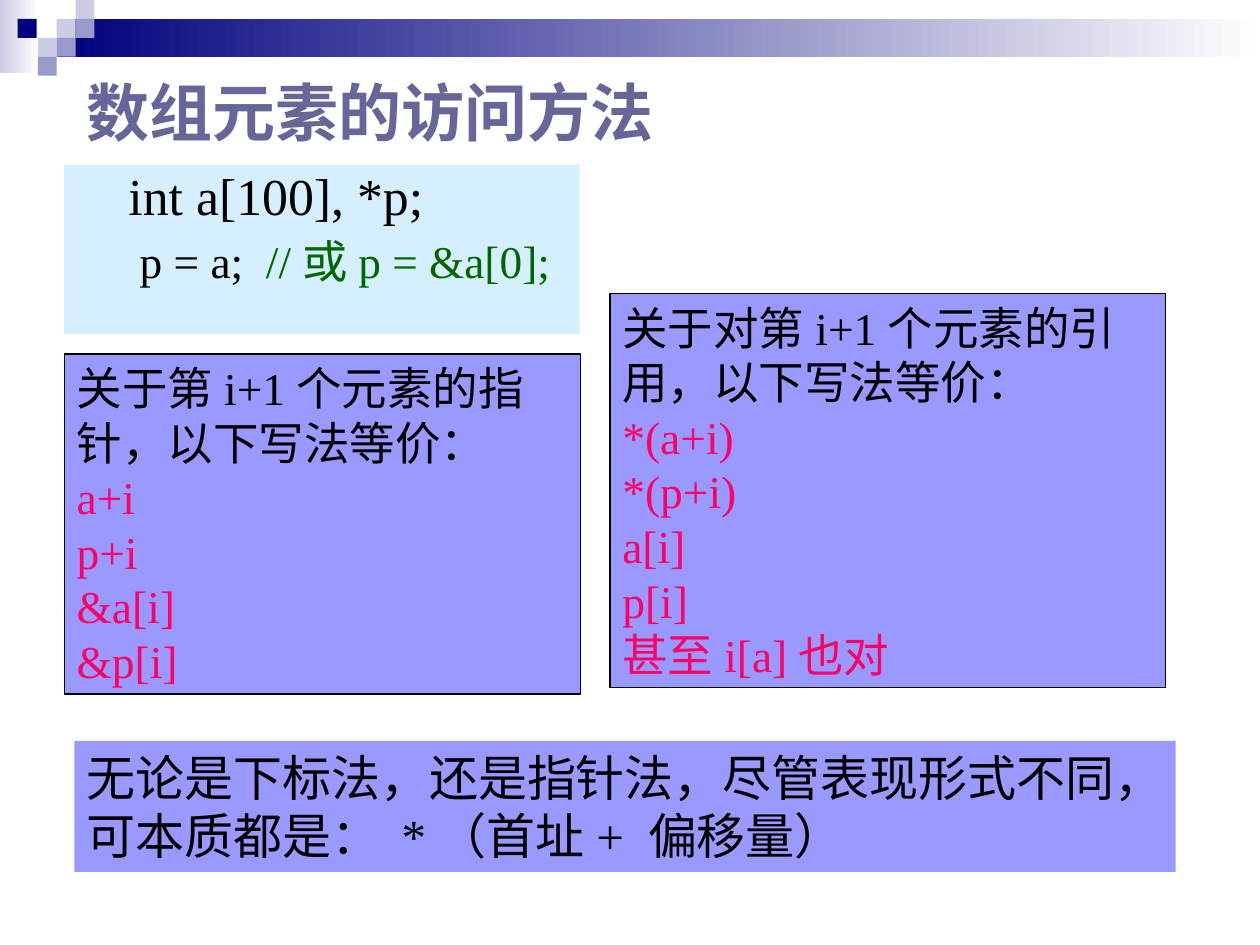
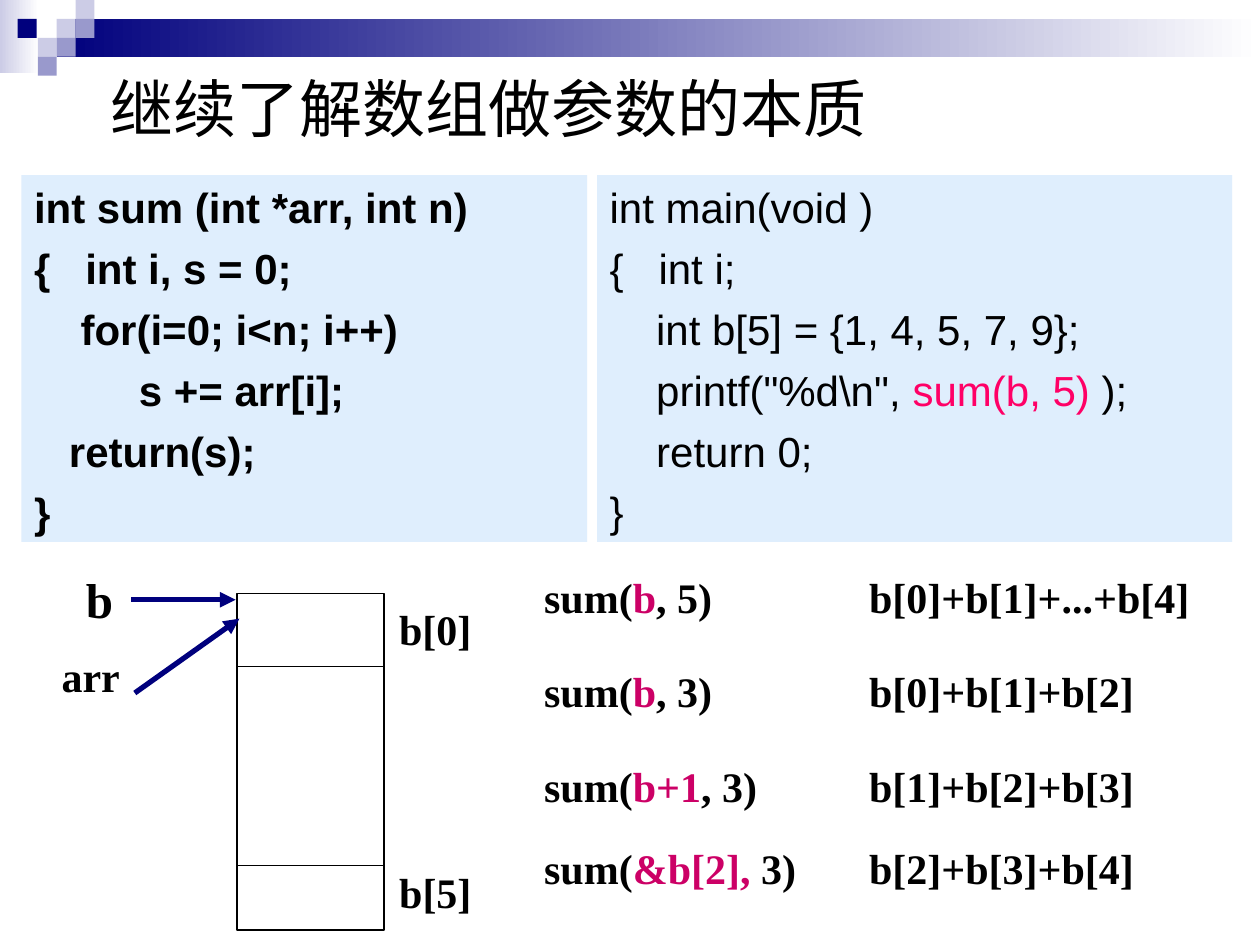
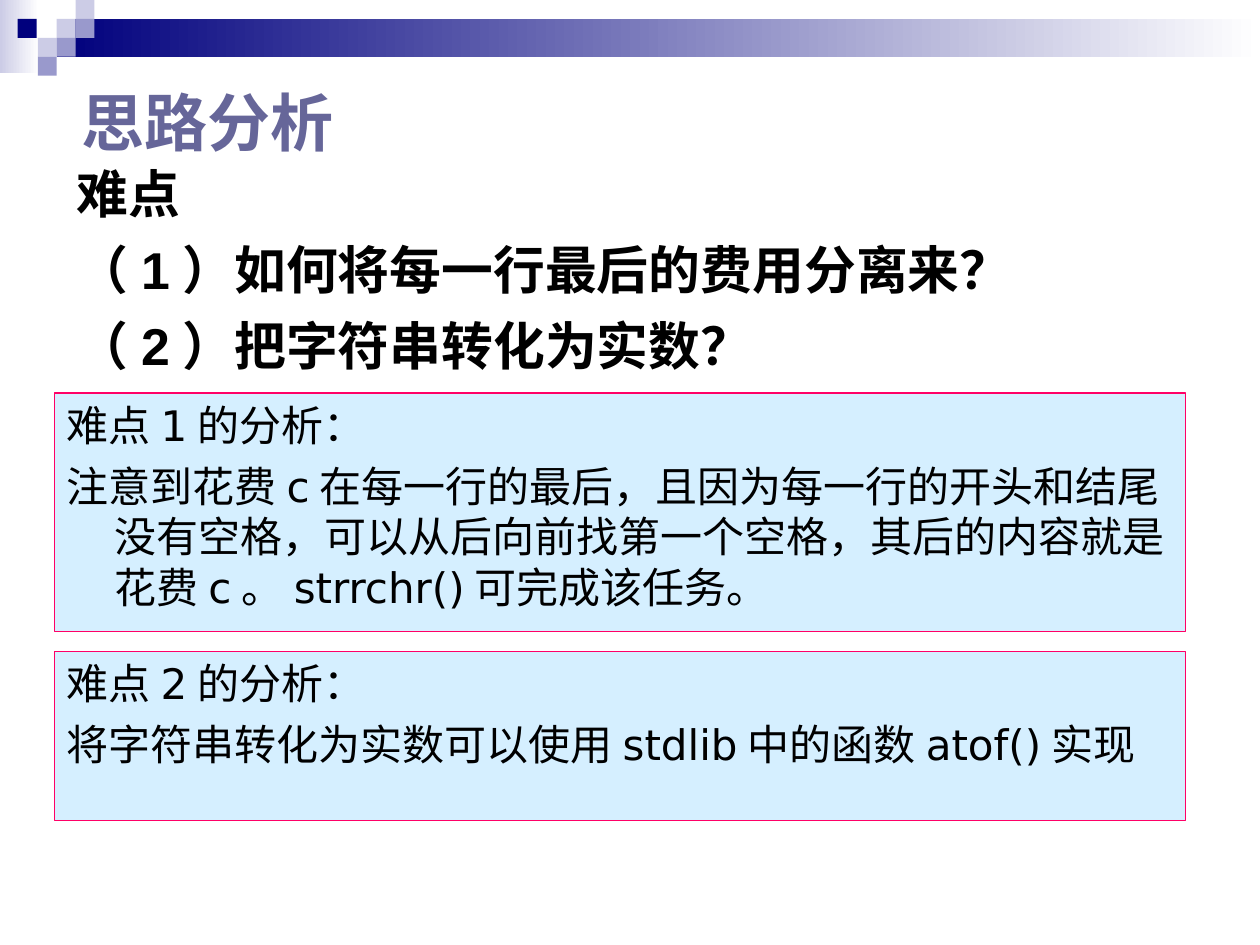
import pptx
import pptx.dml.color
import pptx.enum.shapes
import pptx.enum.text
import pptx.oxml
import pptx.oxml.ns
import pptx.util
from lxml import etree

Inches = pptx.util.Inches
Pt = pptx.util.Pt
qn = pptx.oxml.ns.qn
ALIGN = pptx.enum.text.PP_ALIGN
ANCHOR = pptx.enum.text.MSO_ANCHOR

COLORS = {
    "navy": "00007D", "mist": "CCCCE6", "lavender": "9999CC", "white": "FFFFFF",
    "heading": "666699", "text": "000000", "comment": "006600", "pink": "FF0066",
    "argument": "CC0066", "periwinkle": "9999FF", "sky": "D5EFFF", "code": "DFEEFD",
}

HANGING = (0.38, -0.38)
SERIF, SANS = "Times New Roman", "Arial"


def style(size, name, bold=False, color="text", indent=(0, 0), tab=None, before=0, **paragraph):
    return {"font": {"size": Pt(size), "name": name, "bold": bold}, "color": color,
            "indent": indent, "tab": tab,
            "paragraph": {"alignment": ALIGN.LEFT, "line_spacing": 1.0,
                          "space_before": Pt(before), "space_after": Pt(0), **paragraph}}


STYLES = {
    "title": style(36, SANS, True, "heading"),
    "plain title": style(36, SANS),
    "declaration": style(29.6, SERIF, indent=HANGING, line_spacing=0.9),
    "assignment": style(25.9, SERIF, indent=(0.81, -0.31), before=7, line_spacing=0.9, level=1),
    "forms": style(26, SERIF),
    "summary": style(28, SERIF, tab=3.46),
    "function": style(24, SANS, True, indent=HANGING, before=6),
    "program": style(24, SANS, indent=HANGING, before=6),
    "pointer": style(28, SERIF, True, alignment=ALIGN.CENTER),
    "cell": style(24, SERIF, True, alignment=ALIGN.CENTER),
    "call": style(24, SERIF, True, line_spacing=0.9),
    "difficulty": style(29.6, SANS, True, indent=HANGING, before=8),
    "analysis": style(24, "DejaVu Sans", indent=HANGING, before=6),
}


def rgb(color):
    return pptx.dml.color.RGBColor.from_string(COLORS[color])


def apply(target, values):
    for attribute, value in values.items():
        setattr(target, attribute, value)


# Text: a line is a string or a list of (text, color) runs
def lines(style_name, *texts, color=None):
    color = color or STYLES[style_name]["color"]
    return [(style_name, [(text, color)] if isinstance(text, str) else text) for text in texts]


def write(frame, content, anchor=ANCHOR.TOP, wrap=True):
    apply(frame, {"word_wrap": wrap, "vertical_anchor": anchor,
                  "auto_size": pptx.enum.text.MSO_AUTO_SIZE.NONE,
                  "margin_left": Inches(0.1), "margin_right": Inches(0.1),
                  "margin_top": Inches(0.05), "margin_bottom": Inches(0.05)})
    for index, (style_name, runs) in enumerate(content):
        look = STYLES[style_name]
        paragraph = frame.add_paragraph() if index else frame.paragraphs[0]
        properties = paragraph._p.get_or_add_pPr()
        for key, length in zip(("marL", "indent"), look["indent"]):
            properties.set(key, str(Inches(length)))
        etree.SubElement(properties, qn("a:buNone"))
        if look["tab"]:
            stops = etree.SubElement(properties, qn("a:tabLst"))
            etree.SubElement(stops, qn("a:tab"), pos=str(Inches(look["tab"])), algn="l")
        apply(paragraph, look["paragraph"])
        if index == 0:
            paragraph.space_before = Pt(0)
        for text, color in runs:
            run = paragraph.add_run()
            run.text = text
            apply(run.font, look["font"])
            run.font.color.rgb = rgb(color)


# Kinds of element
def place(shape, box):
    apply(shape, dict(zip(("left", "top", "width", "height"), map(Inches, box))))


def add_panel(slide, box, fill=None, outline=None, width=0.75, content=()):
    panel = slide.shapes.add_shape(pptx.enum.shapes.MSO_SHAPE.RECTANGLE, *map(Inches, box))
    panel.shadow.inherit = False
    if fill:
        panel.fill.solid()
        panel.fill.fore_color.rgb = rgb(fill)
    else:
        panel.fill.background()
    if outline:
        panel.line.color.rgb = rgb(outline)
        panel.line.width = Pt(width)
    else:
        panel.line.fill.background()
    if content:
        write(panel.text_frame, content)
    return panel


def add_fade(slide, box, start):
    fade = add_panel(slide, box, start)
    fade.fill.gradient()
    fade.fill.gradient_angle = 0
    for stop, color in zip(fade.fill.gradient_stops, (start, "white")):
        stop.color.rgb = rgb(color)
    return fade


def add_label(slide, box, content, anchor=ANCHOR.MIDDLE):
    label = slide.shapes.add_textbox(*map(Inches, box))
    write(label.text_frame, content, anchor, wrap=False)


def add_line(slide, start, end, color="text", width=1, arrow=False):
    line = slide.shapes.add_connector(pptx.enum.shapes.MSO_CONNECTOR.STRAIGHT,
                                      *map(Inches, start + end))
    line.line.color.rgb = rgb(color)
    line.line.width = Pt(width)
    properties = line.element.spPr
    if arrow:
        etree.SubElement(properties.find(qn("a:ln")), qn("a:tailEnd"), type="triangle")
    etree.SubElement(properties, qn("a:effectLst"))


def add_slide(deck, layout, title, box, title_style="title"):
    slide = deck.slides.add_slide(deck.slide_layouts.get_by_name(layout))
    place(slide.shapes.title, box)
    write(slide.shapes.title.text_frame, lines(title_style, title), ANCHOR.MIDDLE)
    return slide


def fill_body(slide, box, content, fill=None):
    body = slide.placeholders[1]
    place(body, box)
    if fill:
        body.fill.solid()
        body.fill.fore_color.rgb = rgb(fill)
    write(body.text_frame, content)


# Header band, shared by all slides through the master
def move_band_to_master(deck, slide):
    side = 0.15
    squares = [(0.45, 0.15, "mist"), (0.6, 0, "mist"), (0.6, 0.15, "lavender"),
               (0.3, 0.3, "mist"), (0.14, 0.15, "navy"), (0.45, 0.3, "lavender"),
               (0.3, 0.45, "lavender")]
    band = [add_fade(slide, (0, 0, 0.31, 0.58), "mist"),
            add_fade(slide, (0.45, 0.15, 9.55, 0.3), "navy")]
    band += [add_panel(slide, (x, y, side, side), color) for x, y, color in squares]
    tree = deck.slide_master.shapes.element
    for index, part in enumerate(band):
        part.element.nvSpPr.cNvPr.set("id", str(100 + index))
        tree.insert(2 + index, part.element)


# Slide 1: ways to reach an array element
def access_slide(deck):
    slide = add_slide(deck, "Title Only", "数组元素的访问方法", (0.59, 0.13, 9, 1.5))
    add_panel(slide, (0.51, 1.31, 4.09, 1.34), "sky", content=(
        lines("declaration", "    int a[100], *p;")
        + lines("assignment", [("p = a;  ", "text"), ("//或p = &a[0];", "comment")])))
    equivalents = [
        ((0.51, 2.81, 4.1, 2.7), "关于第i+1个元素的指针，以下写法等价：",
         ("a+i", "p+i", "&a[i]", "&p[i]")),
        ((4.84, 2.33, 4.41, 3.13), "关于对第i+1个元素的引用，以下写法等价：",
         ("*(a+i)", "*(p+i)", "a[i]", "p[i]", "甚至i[a]也对")),
    ]
    for box, heading, forms in equivalents:
        add_panel(slide, box, "periwinkle", "text",
                  content=lines("forms", heading) + lines("forms", *forms, color="pink"))
    add_panel(slide, (0.59, 5.88, 8.74, 1.04), "periwinkle", content=lines(
        "summary", "无论是下标法，还是指针法，尽管表现形式不同，可本质都是：\t*（首址+ 偏移量）"))
    return slide


# Slide 2: arrays as parameters
def parameter_slide(deck):
    slide = add_slide(deck, "Title and Content", "继续了解数组做参数的本质",
                      (0.78, 0.51, 9, 0.69), "plain title")
    fill_body(slide, (0.17, 1.39, 4.49, 2.91), lines(
        "function", "int sum (int *arr, int n)", "{   int i, s = 0;",
        "    for(i=0; i<n; i++)", "         s += arr[i];", "   return(s);", "}"), "code")
    add_panel(slide, (4.74, 1.39, 5.04, 2.91), "code", content=lines(
        "program", "int main(void )", "{   int i;", "    int b[5] = {1, 4, 5, 7, 9};",
        [('    printf("%d\\n", ', "text"), ("sum(b, 5)", "pink"), (" );", "text")],
        "    return 0;", "}"))

    # Array in memory with its two pointers
    left, width = 1.88, 1.17
    add_panel(slide, (left, 4.71, width, 2.67), outline="text", width=1)
    for y in (5.29, 6.87):
        add_line(slide, (left, y), (left + width, y))
    add_label(slide, (0.58, 4.43, 0.42, 0.64), lines("pointer", "b"))
    add_label(slide, (0.39, 5.11, 0.66, 0.5), lines("cell", "arr"))
    add_label(slide, (3.07, 4.74, 0.77, 0.5), lines("cell", "b[0]"))
    add_label(slide, (3.06, 6.79, 0.79, 0.57), lines("cell", "b[5]"))
    for start, end in (((1.04, 4.76), (1.87, 4.76)), ((1.07, 5.5), (1.9, 4.91))):
        add_line(slide, start, end, "navy", 3, arrow=True)

    # Calls and the sums they return
    calls = [(4.53, "b", ", 5)", "b[0]+b[1]+...+b[4]"),
             (5.28, "b", ", 3)", "b[0]+b[1]+b[2]"),
             (6.03, "b+1", ", 3)", "b[1]+b[2]+b[3]"),
             (6.68, "&b[2],", " 3)", "b[2]+b[3]+b[4]")]
    for y, argument, ending, total in calls:
        call = [("sum(", "text"), (argument, "argument"), (ending, "text")]
        add_label(slide, (4.22, y, 2.2, 0.46), lines("call", call), ANCHOR.TOP)
        add_label(slide, (6.8, y, 2.74, 0.46), lines("call", total), ANCHOR.TOP)


# Slide 3: difficulties and their analysis
def analysis_slide(deck):
    slide = add_slide(deck, "Title and Content", "思路分析", (0.55, 0.21, 9, 1.5))
    fill_body(slide, (0.51, 1.23, 9, 1.86), lines(
        "difficulty", "难点", "（1）如何将每一行最后的费用分离来？", "（2）把字符串转化为实数？"))
    analyses = [
        (3.12, 1.89, "难点1的分析：",
         "注意到花费c在每一行的最后，且因为每一行的开头和结尾没有空格，"
         "可以从后向前找第一个空格，其后的内容就是花费c。strrchr()可完成该任务。"),
        (5.17, 1.34, "难点2的分析：", "将字符串转化为实数可以使用stdlib中的函数atof()实现"),
    ]
    for top, height, heading, answer in analyses:
        add_panel(slide, (0.43, top, 8.98, height), "sky", "pink",
                  content=lines("analysis", heading, answer))


def main():
    deck = pptx.Presentation()
    deck.slide_width, deck.slide_height = Inches(10), Inches(7.5)
    first = access_slide(deck)
    move_band_to_master(deck, first)
    parameter_slide(deck)
    analysis_slide(deck)
    deck.save("out.pptx")


if __name__ == "__main__":
    main()
